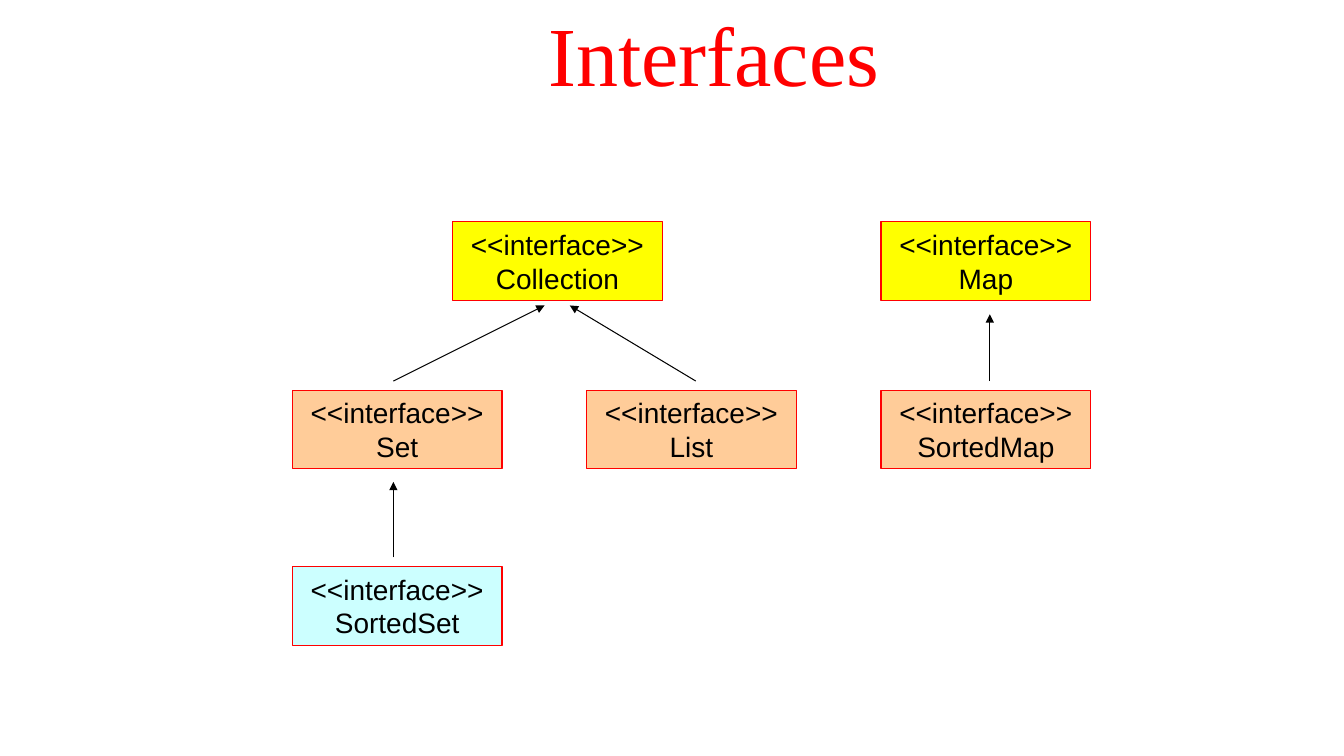
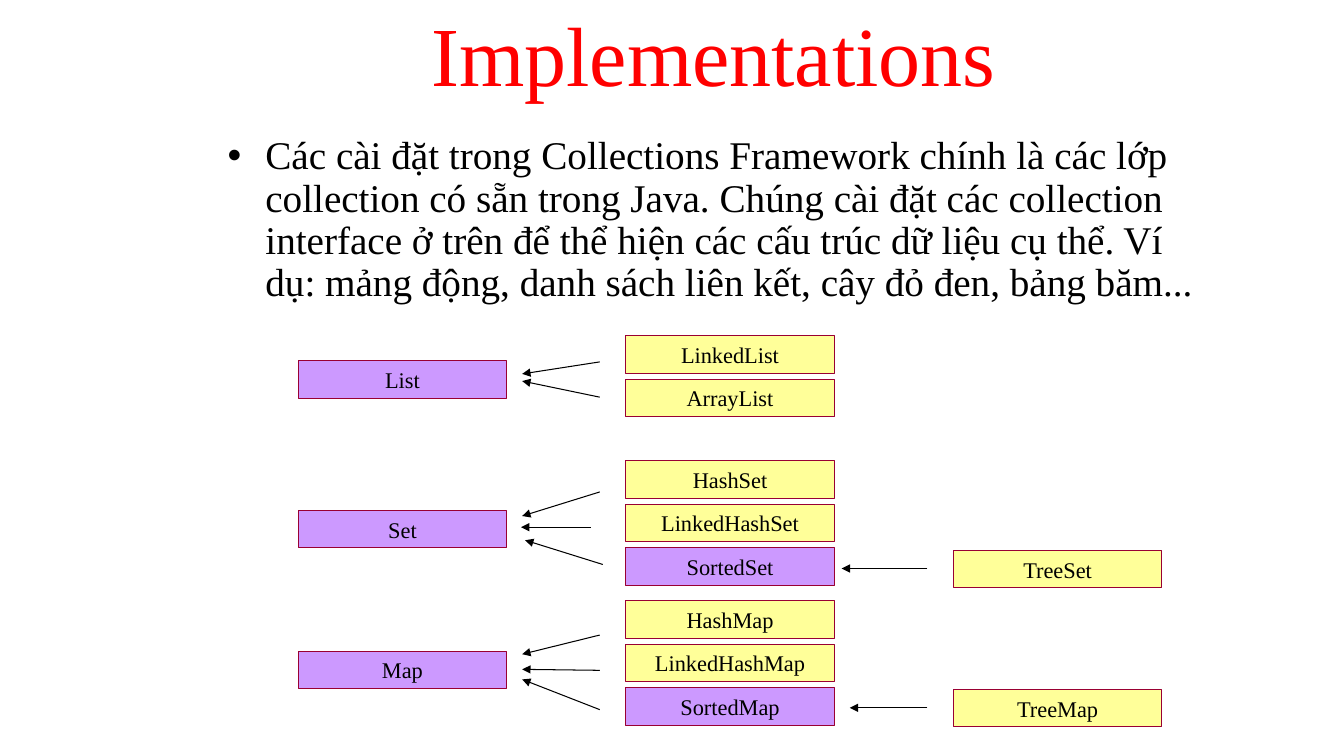
"""Build two slides on the interfaces and implementations of collections."""
from lxml.etree import SubElement
from pptx import Presentation
from pptx.dml.color import RGBColor
from pptx.enum.shapes import MSO_CONNECTOR as Connector, MSO_SHAPE as Shape
from pptx.enum.text import MSO_ANCHOR as Anchor, MSO_AUTO_SIZE as AutoSize, PP_ALIGN as Align
from pptx.oxml.ns import qn
from pptx.util import Pt

BLACK = RGBColor(0x00, 0x00, 0x00)
RED = RGBColor(0xFF, 0x00, 0x00)
YELLOW = RGBColor(0xFF, 0xFF, 0x00)
ORANGE = RGBColor(0xFF, 0xCC, 0x99)
CYAN = RGBColor(0xCC, 0xFF, 0xFF)
VIOLET = RGBColor(0xCC, 0x99, 0xFF)
CREAM = RGBColor(0xFF, 0xFF, 0x99)
WINE = RGBColor(0x99, 0x00, 0x33)
SANS, SERIF = "Arial", "Times New Roman"
TITLE_ONLY = 5


class Diagram:
    """Hold the shared style and the current page."""

    def __init__(self):
        self.deck = Presentation()
        self.deck.slide_width, self.deck.slide_height = Pt(960), Pt(540)
        self.page = None

    def format_text(self, frame, font, size, color, align):
        """Apply one text style to every paragraph of a frame."""
        frame.word_wrap = True
        frame.auto_size = AutoSize.NONE
        for para in frame.paragraphs:
            para.alignment = align
            for span in para.runs:
                span.font.name, span.font.size = font, Pt(size)
                span.font.color.rgb = color

    def new_page(self, title):
        """Start a page with a large red title."""
        self.page = self.deck.slides.add_slide(self.deck.slide_layouts[TITLE_ONLY])
        box = self.page.shapes.title
        box.left, box.top, box.width, box.height = Pt(106.6), Pt(0), Pt(806.4), Pt(85)
        box.text_frame.text = title
        box.text_frame.vertical_anchor = Anchor.MIDDLE
        box.text_frame.paragraphs[0].line_spacing = 0.9
        self.format_text(box.text_frame, SERIF, 60, RED, Align.CENTER)

    def bullet(self, text, left, top, width, height):
        """Add a text box with one bulleted paragraph."""
        box = self.page.shapes.add_textbox(Pt(left), Pt(top), Pt(width), Pt(height))
        box.text_frame.text = text
        self.format_text(box.text_frame, SERIF, 28, BLACK, Align.LEFT)
        para = box.text_frame.paragraphs[0]
        para.line_spacing, para.space_before = 0.9, Pt(10)
        properties = para._p.get_or_add_pPr()
        properties.set("marL", str(Pt(27)))
        properties.set("indent", str(-Pt(27)))
        SubElement(properties, qn("a:buFont"), typeface=SANS)
        SubElement(properties, qn("a:buChar"), char="•")

    def box(self, text, left, top, width, height, fill, outline, font, size):
        """Add an outlined rectangle with centred text."""
        box = self.page.shapes.add_shape(
            Shape.RECTANGLE, Pt(left), Pt(top), Pt(width), Pt(height))
        box.shadow.inherit = False
        box.fill.solid()
        box.fill.fore_color.rgb = fill
        box.line.color.rgb, box.line.width = outline, Pt(0.75)
        box.text_frame.text = text
        box.text_frame.vertical_anchor = Anchor.MIDDLE
        self.format_text(box.text_frame, font, size, BLACK, Align.CENTER)

    def interface(self, name, left, top, fill):
        """Add a two-line interface box."""
        self.box(f"<<interface>>\n{name}", left, top, 149.8, 56.2, fill, RED, SANS, 20)

    def type_box(self, name, left, top, fill):
        """Add a one-line type box."""
        self.box(name, left, top, 149, 26.8, fill, WINE, SERIF, 16)

    def arrow(self, x1, y1, x2, y2):
        """Add a thin black arrow."""
        line = self.page.shapes.add_connector(
            Connector.STRAIGHT, Pt(x1), Pt(y1), Pt(x2), Pt(y2))
        line.line.color.rgb, line.line.width = BLACK, Pt(0.75)
        SubElement(line.line._get_or_add_ln(), qn("a:tailEnd"), type="triangle")
        SubElement(line._element.spPr, qn("a:effectLst"))


def interfaces_page(diagram):
    """Draw the tree of interfaces."""
    diagram.new_page("Interfaces")
    top_row, middle_row, bottom_row = 158.4, 278.6, 404.6
    for name, left, top, fill in (
        ("Collection", 323.3, top_row, YELLOW),
        ("Map", 629.3, top_row, YELLOW),
        ("Set", 208.8, middle_row, ORANGE),
        ("List", 419, middle_row, ORANGE),
        ("SortedMap", 629.3, middle_row, ORANGE),
        ("SortedSet", 208.8, bottom_row, CYAN),
    ):
        diagram.interface(name, left, top, fill)
    for ends in (
        (281, 272.2, 389, 218.2),
        (497, 272.2, 407, 218.2),
        (281, 398.2, 281, 344.2),
        (707, 272.2, 707, 224.5),
    ):
        diagram.arrow(*ends)


def implementations_page(diagram):
    """Draw each interface with its implementing classes."""
    diagram.new_page("Implementations")
    diagram.bullet(
        "Các cài đặt trong Collections Framework chính là các lớp collection có sẵn "
        "trong Java. Chúng cài đặt các collection interface ở trên để thể hiện các "
        "cấu trúc dữ liệu cụ thể. Ví dụ: mảng động, danh sách liên kết, cây đỏ đen, "
        "bảng băm...", 155.5, 93.6, 708.5, 136)
    root_left, child_left, leaf_left = 213, 447, 681
    pitch = 31
    for root, root_top, first_top, children in (
        ("List", 257.8, 239.8, ("LinkedList", "ArrayList")),
        ("Set", 364.5, 329.2, ("HashSet", "LinkedHashSet", "SortedSet")),
        ("Map", 465.1, 429.2, ("HashMap", "LinkedHashMap", "SortedMap")),
    ):
        diagram.type_box(root, root_left, root_top, VIOLET)
        for row, child in enumerate(children):
            fill = VIOLET if child.startswith("Sorted") else CREAM
            diagram.type_box(child, child_left, first_top + row * pitch, fill)
    for leaf, top in (("TreeSet", 393.1), ("TreeMap", 492.5)):
        diagram.type_box(leaf, leaf_left, top, CREAM)
    for ends in (
        (428.4, 258.5, 373, 267.1),
        (428.4, 283.7, 373, 272.2),
        (428.4, 351.4, 373, 368.6),
        (421.9, 376.6, 372.2, 376.6),
        (430.6, 403.2, 375.1, 385.9),
        (428.4, 453.6, 373, 467.3),
        (428.4, 478.8, 373, 478.1),
        (428.4, 506.9, 373, 485.3),
        (662.4, 406.1, 601.2, 406.1),
        (662.4, 505.6, 607, 505.6),
    ):
        diagram.arrow(*ends)


def main():
    """Build and save the deck."""
    diagram = Diagram()
    interfaces_page(diagram)
    implementations_page(diagram)
    diagram.deck.save("out.pptx")


if __name__ == "__main__":
    main()
